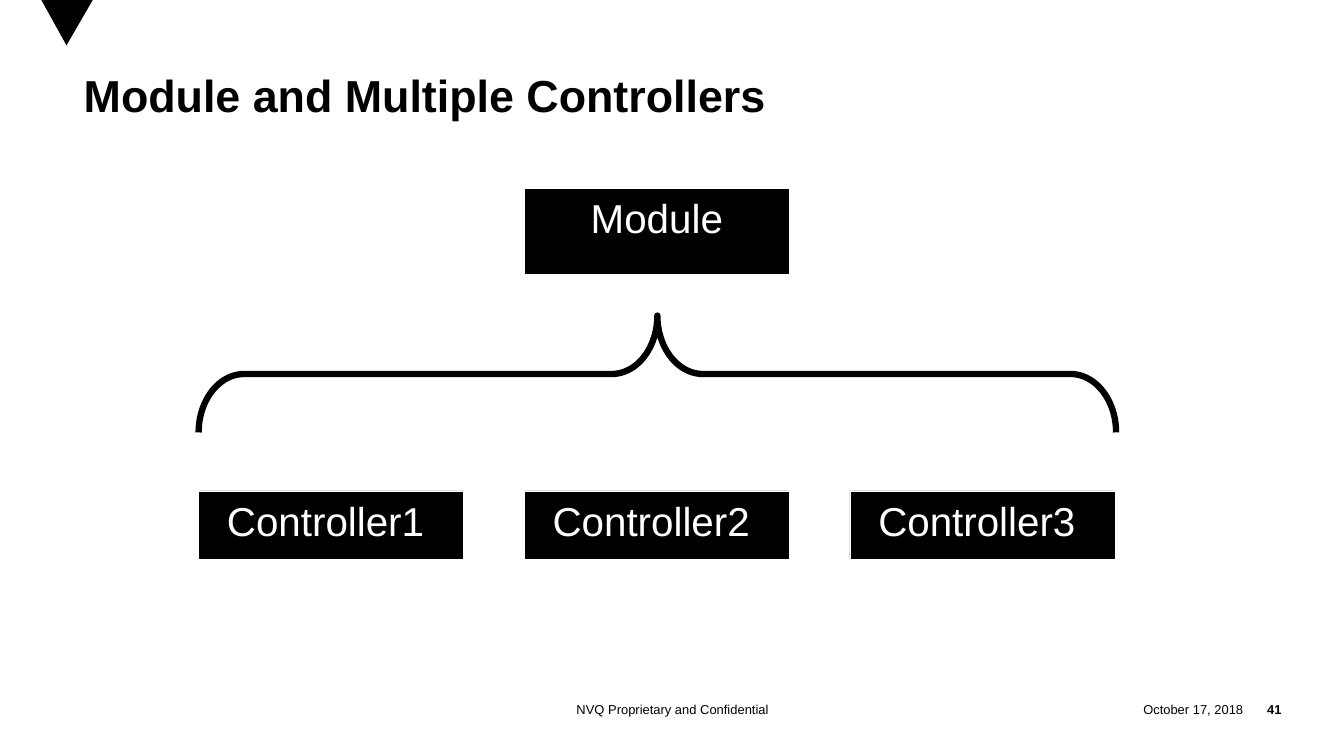
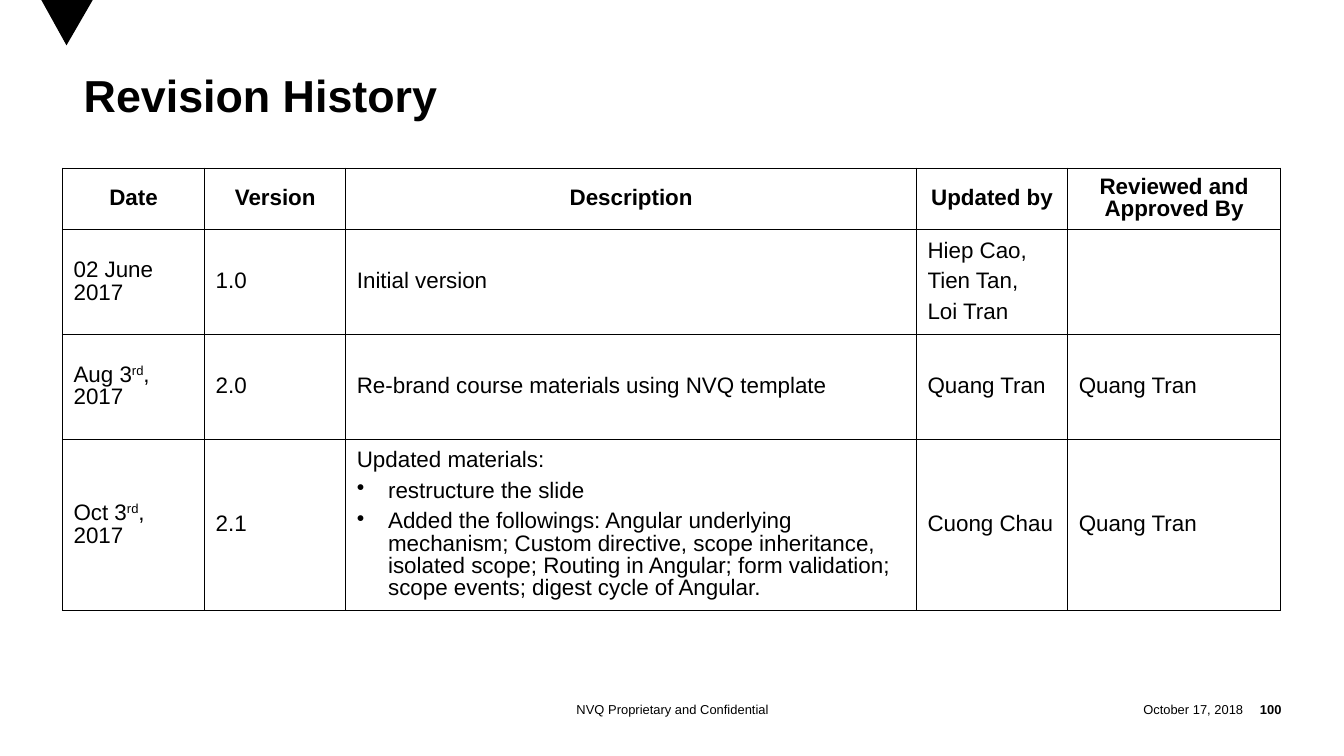
from lxml.etree import SubElement
from pptx import Presentation
from pptx.dml.color import RGBColor
from pptx.enum.shapes import MSO_SHAPE as SHAPE
from pptx.enum.text import MSO_ANCHOR as ANCHOR, PP_ALIGN as ALIGN
from pptx.oxml import parse_xml
from pptx.oxml.ns import nsdecls, qn
from pptx.util import Pt

PX = 9144  # 100 px to the inch
BLACK = RGBColor(0, 0, 0)
WHITE = RGBColor(255, 255, 255)
FONT = "Arial"
BULLET = "• "
INDENT = 31 * PX


def write(frame, text, size, color=BLACK, bold=False, align=ALIGN.LEFT):
    """Fill a frame, one paragraph a line; ^ marks open and close superscript."""
    frame.word_wrap = True
    for i, line in enumerate(text.split("\n")):
        para = frame.add_paragraph() if i else frame.paragraphs[0]
        para.alignment = align
        for j, part in enumerate(line.split("^")):
            run = para.add_run()
            run.text = part
            font = run.font
            font.name, font.size, font.bold = FONT, Pt(size), bold
            font.color.rgb = color
            if j % 2:
                run._r.get_or_add_rPr().set("baseline", "30000")


def label(slide, box, text, size, bold=False, align=ALIGN.LEFT, anchor=ANCHOR.TOP):
    """Add a text box without margins."""
    frame = slide.shapes.add_textbox(*(n * PX for n in box)).text_frame
    frame.margin_left = frame.margin_right = 0
    frame.margin_top = frame.margin_bottom = 0
    frame.vertical_anchor = anchor
    write(frame, text, size, bold=bold, align=align)
    return frame


prs = Presentation()
prs.slide_width, prs.slide_height = 1333 * PX, 750 * PX

# Shared parts: corner triangle, footer and title
slides = []
for title, page in (("Module and Multiple Controllers", "41"),
                    ("Revision History", "100")):
    slide = prs.slides.add_slide(prs.slide_layouts[6])
    slides.append(slide)
    path = slide.shapes.build_freeform(41, 0, scale=PX)
    path.add_line_segments([(66, 45), (92, 0)], close=True)
    mark = path.convert_to_shape()
    mark.shadow.inherit = False
    mark.fill.solid()
    mark.fill.fore_color.rgb = BLACK
    mark.line.fill.background()

    for left, width, text, bold, align in (
            (438, 458, "NVQ Proprietary and Confidential", False, ALIGN.CENTER),
            (1084, 149, "October 17, 2018", False, ALIGN.RIGHT),
            (1233, 38, page, True, ALIGN.RIGHT)):
        label(slide, (left, 691, width, 25), text, 9.2, bold, align, ANCHOR.MIDDLE)

    head = label(slide, (83, 75, 1208, 129), title, 32, bold=True)
    head.paragraphs[0].line_spacing = 0.85

tree, history = slides

# Module above its controllers
WIDE, STEP, LEFT = 263, 323, 197
nodes = [("Module", LEFT + STEP, 187, 85)]
nodes += [(f"Controller{i + 1} ", LEFT + i * STEP, 487, 68) for i in range(3)]
for text, left, top, high in nodes:
    node = tree.shapes.add_shape(
        SHAPE.RECTANGLE, left * PX, top * PX, WIDE * PX, high * PX)
    node.shadow.inherit = False
    node.fill.solid()
    node.fill.fore_color.rgb = BLACK
    node.line.color.rgb = WHITE
    node.line.width = Pt(0.5)
    node.text_frame.vertical_anchor = ANCHOR.TOP
    write(node.text_frame, text, 28.8, WHITE, align=ALIGN.CENTER)

brace = tree.shapes.add_shape(
    SHAPE.RIGHT_BRACE, 594 * PX, -84 * PX, 116 * PX, 910 * PX)
brace.rotation = 270
brace.adjustments[0], brace.adjustments[1] = 0.39, 0.5
brace.shadow.inherit = False
brace.fill.background()
brace.line.color.rgb = BLACK
brace.line.width = Pt(4.5)

# Revision table
COLS = (141, 140, 566, 150, 211)
ROWS = (61, 104, 104, 162)
CELLS = (
    ("Date", "Version", "Description", "Updated by", "Reviewed and Approved By"),
    ("02 June 2017", "1.0", "Initial version",
     "Hiep Cao,\nTien Tan,\nLoi Tran", ""),
    ("Aug 3^rd^, 2017", "2.0", "Re-brand course materials using NVQ template",
     "Quang Tran", "Quang Tran"),
    ("Oct 3^rd^, 2017", "2.1",
     "Updated materials:\n"
     "• restructure the slide\n"
     "• Added the followings: Angular underlying mechanism; Custom directive, "
     "scope inheritance, isolated scope; Routing in Angular; form validation; "
     "scope events; digest cycle of Angular.",
     "Cuong Chau", "Quang Tran"),
)
table = history.shapes.add_table(
    len(ROWS), len(COLS), 62 * PX, 167 * PX, sum(COLS) * PX, sum(ROWS) * PX).table
table.first_row = table.horz_banding = False
for col, width in zip(table.columns, COLS):
    col.width = width * PX
for row, high in zip(table.rows, ROWS):
    row.height = high * PX

for r, texts in enumerate(CELLS):
    for c, text in enumerate(texts):
        cell = table.cell(r, c)
        cell.vertical_anchor = ANCHOR.MIDDLE
        cell.margin_left = cell.margin_right = 11 * PX
        cell.margin_top = cell.margin_bottom = 5 * PX
        props = cell._tc.get_or_add_tcPr()
        for side in "LRTB":
            props.append(parse_xml(
                f'<a:ln{side} {nsdecls("a")} w="12700"><a:solidFill>'
                f'<a:srgbClr val="{BLACK}"/></a:solidFill></a:ln{side}>'))
        cell.fill.background()
        if not text:
            continue
        write(cell.text_frame, text, 16, bold=r == 0,
              align=ALIGN.LEFT if r else ALIGN.CENTER)
        for para in cell.text_frame.paragraphs:
            para.line_spacing = 0.9
            para.space_before = Pt(5.8)
            first = para.runs[0]
            if first.text.startswith(BULLET):
                first.text = first.text.removeprefix(BULLET)
                form = para._p.get_or_add_pPr()
                form.set("marL", str(INDENT))
                form.set("indent", str(-INDENT))
                SubElement(form, qn("a:buChar")).set("char", BULLET.strip())

prs.save("out.pptx")
